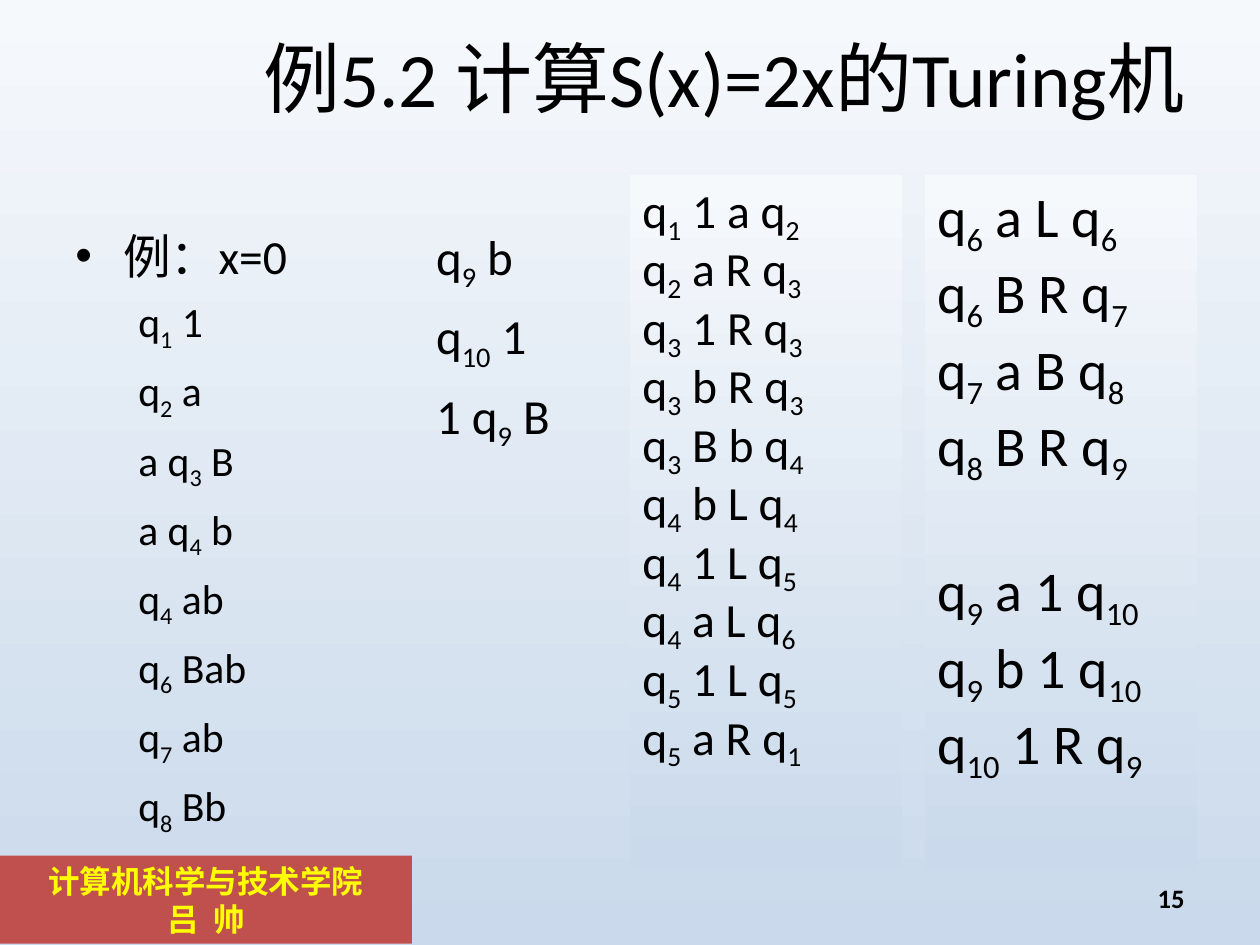
from lxml.etree import SubElement
from pptx import Presentation
from pptx.dml.color import RGBColor
from pptx.enum.shapes import MSO_SHAPE
from pptx.enum.text import MSO_ANCHOR, MSO_AUTO_SIZE, PP_ALIGN
from pptx.oxml.ns import qn
from pptx.util import Inches, Pt

W, H = 10, 7.5
MARGIN = 0.05 * W
COLORS = {"text": "000000", "top": "F6F9FC", "bottom": "CAD9EB",
          "banner": "C0504D", "banner_text": "FFFF00"}

EXAMPLE = "例：x=0"
STEPS = ["q[1] 1", "q[2] a", "a q[3] B", "a q[4] b", "q[4] ab", "q[6] Bab",
         "q[7] ab", "q[8] Bb"]
LAST_STEPS = ["q[9] b", "q[10] 1", "1 q[9] B"]
RULES = ["q[1] 1 a q[2]", "q[2] a R q[3]", "q[3] 1 R q[3]", "q[3] b R q[3]",
         "q[3] B b q[4]", "q[4] b L q[4]", "q[4] 1 L q[5]", "q[4] a L q[6]",
         "q[5] 1 L q[5]", "q[5] a R q[1]"]
CLEAR_RULES = ["q[6] a L q[6]", "q[6] B R q[7]", "q[7] a B q[8]", "q[8] B R q[9]"]
OUTPUT_RULES = ["q[9] a 1 q[10]", "q[9] b 1 q[10]", "q[10] 1 R q[9]"]


def rgb(name):
    return RGBColor.from_string(COLORS[name])


def place(sp, box):
    sp.left, sp.top, sp.width, sp.height = (Inches(v) for v in box)


def shade(fill):
    fill.gradient()
    fill.gradient_angle = 270
    for stop, name in zip(fill.gradient_stops, ("top", "bottom")):
        stop.color.rgb = rgb(name)


def style(p, size, color="text", font="Calibri", bold=False):
    for r in p.runs:
        r.font.size = Pt(size)
        r.font.name = font
        r.font.bold = bold
        r.font.color.rgb = rgb(color)


def add_lines(tf, lines, size, indent=0, before=0, spacing=None):
    for line in lines:
        p = tf.add_paragraph() if tf.text else tf.paragraphs[0]
        if p is not tf.paragraphs[0] and len(tf.paragraphs) > 1:
            p.space_before = Pt(before)
        p.alignment = PP_ALIGN.LEFT
        p.line_spacing = spacing
        if indent:
            p.level = 1
            pPr = p._p.get_or_add_pPr()
            pPr.set("marL", str(Inches(indent)))
            pPr.set("indent", "0")
        for i, part in enumerate(line.replace("]", "[").split("[")):
            if part:
                r = p.add_run()
                r.text = part
                if i % 2:
                    r._r.get_or_add_rPr().set("baseline", "-25000")
        style(p, size)


def text_box(s, box):
    tf = s.shapes.add_textbox(*(Inches(v) for v in box)).text_frame
    tf.word_wrap = True
    return tf


def rectangle(s, box):
    sp = s.shapes.add_shape(MSO_SHAPE.RECTANGLE, *(Inches(v) for v in box))
    sp.shadow.inherit = False
    sp.line.fill.background()
    sp.text_frame.vertical_anchor = MSO_ANCHOR.TOP
    return sp


def title(s, box):
    sp = s.shapes.title
    place(sp, box)
    tf = sp.text_frame
    tf.text = "例5.2 计算S(x)=2x的Turing机"
    tf.auto_size = MSO_AUTO_SIZE.NONE
    tf.vertical_anchor = MSO_ANCHOR.MIDDLE
    tf.paragraphs[0].alignment = PP_ALIGN.RIGHT
    style(tf.paragraphs[0], 44)


def trace(s, box):
    x, y, w, h = box
    col = 0.475 * w
    tf = text_box(s, (x, y, col, h))
    tf.text = EXAMPLE
    p = tf.paragraphs[0]
    pPr = p._p.get_or_add_pPr()
    pPr.set("marL", str(Inches(0.38)))
    pPr.set("indent", str(Inches(-0.38)))
    SubElement(pPr, qn("a:buFont")).set("typeface", "Arial")
    SubElement(pPr, qn("a:buChar")).set("char", "•")
    style(p, 27.2)
    add_lines(tf, STEPS, 23.8, indent=0.5, before=7)
    tf = text_box(s, (x + w - col, y, col, h))
    add_lines(tf, LAST_STEPS, 28, indent=0.5, before=7)


def rule_panels(s, box):
    x, y, w, h = box
    col = 0.48 * w
    left, right = (rectangle(s, (px, y, col, h)) for px in (x, x + w - col))
    for sp in (left, right):
        shade(sp.fill)
    add_lines(left.text_frame, RULES, 27.2, spacing=0.9)
    tf = right.text_frame
    add_lines(tf, CLEAR_RULES + OUTPUT_RULES, 32)
    tf.paragraphs[len(CLEAR_RULES)].space_before = Pt(39)


def banner(s, box):
    sp = rectangle(s, box)
    sp.fill.solid()
    sp.fill.fore_color.rgb = rgb("banner")
    sp.text_frame.text = "计算机科学与技术学院\n吕  帅"
    for p in sp.text_frame.paragraphs:
        p.alignment = PP_ALIGN.CENTER
        style(p, 18, "banner_text", "Arial", True)


def page_number(s, box):
    tf = text_box(s, box)
    tf.text = "15"
    tf.vertical_anchor = MSO_ANCHOR.MIDDLE
    p = tf.paragraphs[0]
    p.alignment = PP_ALIGN.RIGHT
    p.line_spacing = 0.8
    style(p, 15.2, bold=True)


def main():
    prs = Presentation()
    prs.slide_width, prs.slide_height = Inches(W), Inches(H)
    s = prs.slides.add_slide(prs.slide_layouts[5])
    shade(s.background.fill)
    half = W / 2 - MARGIN
    banner(s, (0, 6.79, 3.27, 0.7))
    title(s, (MARGIN, 0.04 * H, W - 2 * MARGIN, 0.61))
    rule_panels(s, (W / 2, 1.39, half, 5.51))
    trace(s, (MARGIN, 1.75, half, 0.66 * H))
    page_number(s, (7.17, 6.95, 2.33, 0.4))
    prs.save("out.pptx")


if __name__ == "__main__":
    main()
